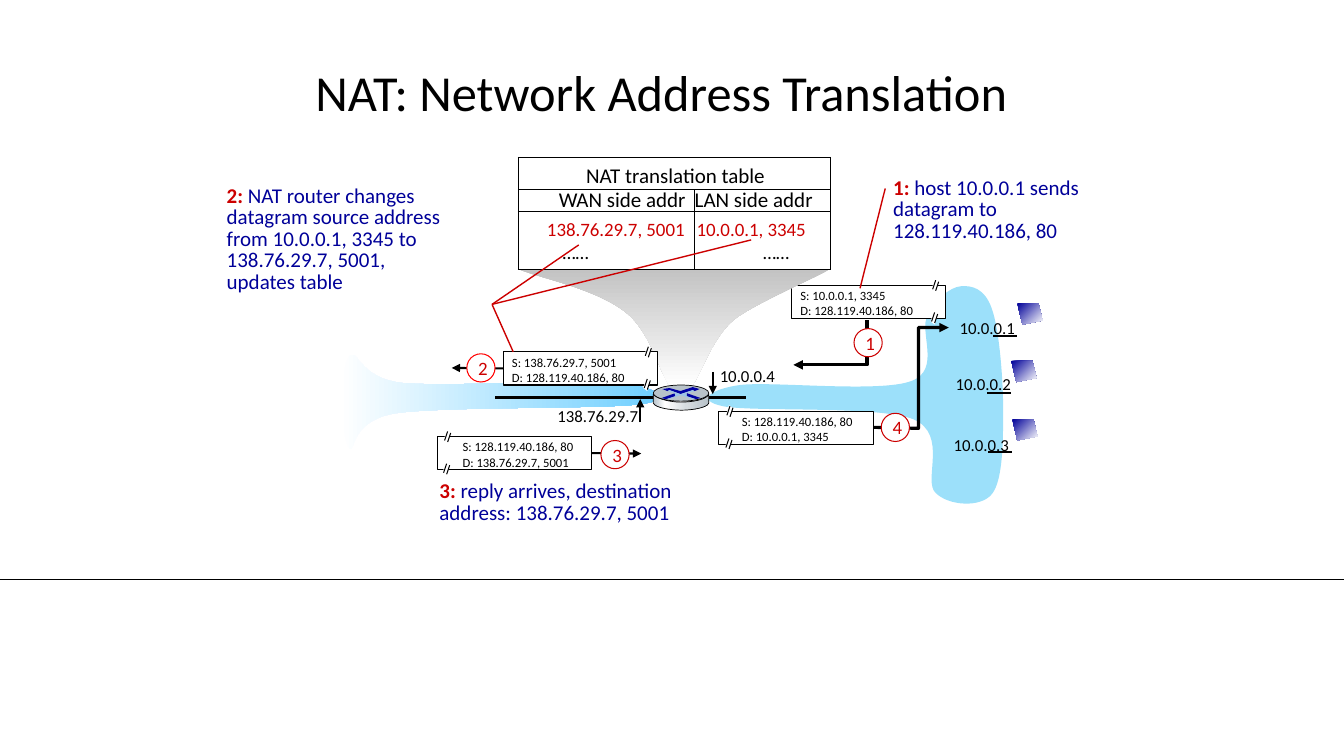
"""Build a slide that explains network address translation."""
import dataclasses

import lxml.etree
import pptx
import pptx.dml.color
import pptx.enum.shapes
import pptx.enum.text
import pptx.oxml.ns
import pptx.util

COLUMNS, ROWS = 13.33, 7.5
SHAPE = pptx.enum.shapes.MSO_SHAPE
ALIGN = pptx.enum.text.PP_ALIGN
ANCHOR = pptx.enum.text.MSO_ANCHOR
qn = pptx.oxml.ns.qn


@dataclasses.dataclass(frozen=True)
class Theme:
    font: str = "Calibri"
    black: str = "000000"
    white: str = "FFFFFF"
    red: str = "CC0000"
    bright_red: str = "FF0000"
    navy: str = "000099"
    lan: str = "9CE0FA"
    wan: str = "66CCFF"
    gray: str = "BFBFBF"
    steel: str = "B8C2C9"
    pale_steel: str = "D6DCE0"
    arrow_blue: str = "0000A3"
    arrow_face: str = "9DC3E6"
    title: float = 36
    note: float = 15
    entry: float = 13.5
    label: float = 12
    packet: float = 9
    thin: float = 0.75


THEME = Theme()


def cells(*spans):
    return [pptx.util.Inches(span) for span in spans]


def rgb(color):
    return pptx.dml.color.RGBColor.from_string(color)


def set_font(font, size, color):
    font.name, font.size, font.color.rgb = THEME.font, pptx.util.Pt(size), rgb(color)


def set_line(shape, color, width, arrow=False):
    shape.line.color.rgb = rgb(color)
    shape.line.width = pptx.util.Pt(width)
    if arrow:
        line = shape._element.spPr.find(qn("a:ln"))
        lxml.etree.SubElement(line, qn("a:tailEnd"), type="triangle")


def set_gradient(shape, stops, angle):
    shape.fill.gradient()
    shape.fill.gradient_angle = (360 - angle) % 360
    stop_list = shape._element.spPr.find(".//" + qn("a:gsLst"))
    for stop in list(stop_list):
        stop_list.remove(stop)
    for position, color in stops:
        stop = lxml.etree.SubElement(stop_list, qn("a:gs"), pos=str(position * 1000))
        lxml.etree.SubElement(stop, qn("a:srgbClr"), val=color)


def paint(shape, fill=None, stops=None, angle=0, line=None, width=THEME.thin, arrow=False):
    shape.shadow.inherit = False
    if stops:
        set_gradient(shape, stops, angle)
    elif fill:
        shape.fill.solid()
        shape.fill.fore_color.rgb = rgb(fill)
    else:
        shape.fill.background()
    if line:
        set_line(shape, line, width, arrow)
    else:
        shape.line.fill.background()
    return shape


def add_preset(page, kind, place, **style):
    return paint(page.shapes.add_shape(kind, *cells(*place)), **style)


def add_outline(page, start, steps, closed=True, **style):
    """Draw steps of two numbers as lines and of six numbers as Bezier curves."""
    points = [step[n:n + 2] for step in steps for n in range(0, len(step), 2)]
    builder = page.shapes.build_freeform(*cells(*start))
    builder.add_line_segments([cells(*point) for point in points], close=closed)
    shape = builder.convert_to_shape()
    segments = iter(list(shape._element.spPr.iter(qn("a:lnTo"))))
    for step in steps:
        first, *others = [next(segments) for _ in range(len(step) // 2)]
        if others:
            curve = lxml.etree.Element(qn("a:cubicBezTo"))
            first.addprevious(curve)
            for segment in (first, *others):
                curve.append(segment[0])
                segment.getparent().remove(segment)
    return paint(shape, **style)


def add_line(page, start, end, color=THEME.black, width=THEME.thin, arrow=False):
    straight = pptx.enum.shapes.MSO_CONNECTOR.STRAIGHT
    line = page.shapes.add_connector(straight, *cells(*start, *end))
    set_line(line, color, width, arrow)
    lxml.etree.SubElement(line._element.spPr, qn("a:effectLst"))
    return line


def add_text(page, place, lines, size, wrap=True):
    box = page.shapes.add_textbox(*cells(*place))
    box.text_frame.word_wrap = wrap
    box.text_frame.text = "\n".join(lines)
    for para in box.text_frame.paragraphs:
        set_font(para.font, size, THEME.black)


def add_note(page, place, number, lines):
    box = page.shapes.add_textbox(*cells(*place))
    box.text_frame.word_wrap = True
    for index, text in enumerate(lines):
        para = box.text_frame.add_paragraph() if index else box.text_frame.paragraphs[0]
        para.line_spacing = 0.85
        set_font(para.font, THEME.note, THEME.navy)
        if index == 0:
            span = para.add_run()
            span.text = f"{number}: "
            span.font.bold, span.font.color.rgb = True, rgb(THEME.red)
        para.add_run().text = text


def set_margins(owner, *margins):
    owner.margin_left, owner.margin_right, owner.margin_top, owner.margin_bottom = cells(*margins)


def add_badge(page, left, top, number, ring=THEME.red):
    badge = add_preset(page, SHAPE.OVAL, (left, top, 0.28, 0.28), fill=THEME.white, line=ring)
    frame = badge.text_frame
    set_margins(frame, 0.04, 0, 0, 0)
    frame.word_wrap, frame.vertical_anchor = False, ANCHOR.MIDDLE
    frame.text = number
    frame.paragraphs[0].alignment = ALIGN.CENTER
    set_font(frame.paragraphs[0].font, THEME.entry, THEME.red)


def add_packet(page, left, top, source, target, cut, indent):
    """Draw a datagram whose edge is cut at the given distance from its left side."""
    packet = add_preset(page, SHAPE.RECTANGLE, (left, top, 1.53, 0.33), fill=THEME.white, line=THEME.black)
    add_text(page, (left + indent, top - 0.02, 1.46, 0.4), (f"S: {source}", f"D: {target}"), THEME.packet)
    for x, y in ((left + cut, top - 0.06), (left + cut - 0.01, top + 0.26)):
        add_outline(page, (x + 0.03, y), [(x, y + 0.1), (x + 0.04, y + 0.13), (x + 0.07, y + 0.03)],
                    fill=THEME.white)
        for shift in (0, 0.03):
            add_line(page, (x + 0.04 + shift, y + 0.01 + shift / 2), (x + 0.01 + shift, y + 0.1 + shift / 2))
    return packet


def fill_cell(cell, lines, size, color, align, margins, indent=0):
    set_margins(cell, *margins)
    cell.vertical_anchor = ANCHOR.MIDDLE
    cell.text = "\n".join(lines)
    for index, para in enumerate(cell.text_frame.paragraphs):
        para.alignment = ALIGN.LEFT if index else align
        para.line_spacing = 1.0 if len(lines) > 1 else 0.85
        if index:
            para._p.get_or_add_pPr().set("marL", str(pptx.util.Inches(indent)))
        set_font(para.font, size, THEME.black if index else color)


def add_nat_table(page):
    table = page.shapes.add_table(3, 2, *cells(5.14, 1.56, 3.1, 1.11)).table
    table.first_row = table.horz_banding = False
    for column, width in zip(table.columns, cells(1.75, 1.35)):
        column.width = width
    for row, height in zip(table.rows, cells(0.32, 0.22, 0.57)):
        row.height = height
    table.cell(0, 0).merge(table.cell(0, 1))
    fill_cell(table.cell(0, 0), ["NAT translation table"], THEME.note, THEME.black, ALIGN.CENTER,
              (0.07, 0.07, 0.07, 0))
    table.cell(0, 0).margin_right = pptx.util.Inches(0.05)
    sides = (("WAN side addr", "138.76.29.7, 5001", ALIGN.RIGHT, 0.42),
             ("LAN side addr", "10.0.0.1, 3345", ALIGN.LEFT, 0.66))
    for column, (heading, address, align, indent) in enumerate(sides):
        fill_cell(table.cell(1, column), [heading], THEME.note, THEME.black, align, (0, 0.09, 0, 0))
        fill_cell(table.cell(2, column), [address, "……"], THEME.entry, THEME.red, align,
                  (0.02, 0.1, 0.02, 0), indent)
    for cell in table.iter_cells():
        cell.fill.solid()
        cell.fill.fore_color.rgb = rgb(THEME.white)
        for index, edge in enumerate(("a:lnL", "a:lnR", "a:lnT", "a:lnB")):
            border = lxml.etree.Element(qn(edge), w=str(pptx.util.Pt(THEME.thin)))
            border_fill = lxml.etree.SubElement(border, qn("a:solidFill"))
            lxml.etree.SubElement(border_fill, qn("a:srgbClr"), val=THEME.black)
            cell._tc.get_or_add_tcPr().insert(index, border)


def add_title(page, text):
    title = page.shapes.title
    title.left, title.top, title.width, title.height = cells(2.25, 0.5, 8.62, 0.88)
    title.text_frame.text = text
    title.text_frame.vertical_anchor = ANCHOR.MIDDLE
    para = title.text_frame.paragraphs[0]
    para.alignment, para.line_spacing = ALIGN.CENTER, 0.9
    set_font(para.font, THEME.title, THEME.black)


def add_networks(page):
    add_outline(page, (6.16, 3.8), [
        (5.77, 3.76, 4.44, 3.84, 3.99, 3.8), (3.54, 3.75, 3.55, 3.43, 3.46, 3.54),
        (3.37, 3.64, 3.38, 4.35, 3.46, 4.44), (3.53, 4.54, 3.44, 4.18, 3.92, 4.1),
        (4.4, 4.03, 5.98, 4.06, 6.35, 4.01), (6.72, 3.96, 6.49, 3.84, 6.16, 3.8)],
        stops=[(0, THEME.white), (100, THEME.wan)])
    add_outline(page, (7.34, 3.82), [
        (7.65, 3.78, 8.73, 3.9, 9.04, 3.78), (9.34, 3.67, 9.11, 3.29, 9.2, 3.13),
        (9.28, 2.97, 9.42, 2.85, 9.53, 2.84), (9.64, 2.83, 9.77, 2.86, 9.84, 3.07),
        (9.91, 3.27, 9.95, 3.75, 9.95, 4.06), (9.95, 4.36, 9.95, 4.76, 9.84, 4.9),
        (9.73, 5.04, 9.41, 5.02, 9.28, 4.89), (9.15, 4.77, 9.41, 4.31, 9.06, 4.16),
        (8.71, 4.02, 7.46, 4.09, 7.17, 4.03), (6.89, 3.97, 7.05, 3.86, 7.34, 3.82)],
        fill=THEME.lan)


def add_funnel(page):
    add_outline(page, (5.14, 2.67), [
        (5.14, 2.67, 7.85, 2.59, 8.21, 2.67), (8.31, 2.66, 7.51, 2.99, 7.28, 3.17),
        (7.05, 3.36, 6.95, 3.74, 6.85, 3.84), (6.65, 3.84),
        (6.55, 3.72, 6.46, 3.3, 6.21, 3.1), (5.9, 2.86, 5.39, 2.77, 5.14, 2.67)],
        stops=[(0, THEME.gray), (100, THEME.white)], angle=90)


def add_router(page):
    add_line(page, (4.91, 3.94), (7.4, 3.94), width=2)
    add_outline(page, (7.03, 3.91), [
        (7.03, 4), (7.01, 4.05, 6.85, 4.07, 6.76, 4.07), (6.67, 4.07, 6.5, 4.05, 6.48, 4),
        (6.48, 3.91), (6.51, 3.96, 6.66, 3.99, 6.75, 3.99), (6.85, 3.99, 7.01, 3.97, 7.03, 3.91)],
        stops=[(0, THEME.steel), (21, THEME.white), (60, THEME.pale_steel), (100, THEME.steel)],
        line=THEME.black, width=0.5)
    add_preset(page, SHAPE.OVAL, (6.48, 3.82, 0.55, 0.16), fill=THEME.steel, line=THEME.black, width=0.5)
    add_outline(page, (6.87, 3.84), [
        (6.94, 3.86), (6.89, 3.88), (6.87, 3.87), (6.75, 3.91), (6.64, 3.87), (6.62, 3.88),
        (6.57, 3.86), (6.64, 3.85), (6.75, 3.88)], fill=THEME.arrow_blue)
    add_outline(page, (6.81, 3.9), [(6.95, 3.95), (6.9, 3.96), (6.81, 3.93)], fill=THEME.arrow_blue)
    add_outline(page, (6.7, 3.9), [(6.7, 3.93), (6.61, 3.96), (6.56, 3.95)], fill=THEME.arrow_blue)
    add_outline(page, (6.62, 3.88), [
        (6.64, 3.87), (6.75, 3.91), (6.87, 3.87), (6.89, 3.88), (6.81, 3.9), (6.81, 3.93), (6.9, 3.96),
        (6.88, 3.96), (6.75, 3.92), (6.63, 3.96), (6.61, 3.96), (6.7, 3.93), (6.69, 3.9)],
        fill=THEME.arrow_face)


def add_host(page, address, label_left, label_top, left, top):
    add_text(page, (label_left, label_top, 0.81, 0.3), [address], THEME.label, wrap=False)
    add_outline(page, (left, top), [(left + 0.21, top), (left + 0.25, top + 0.17), (left + 0.05, top + 0.21)],
                stops=[(0, THEME.navy), (100, THEME.white)], angle=45)
    add_line(page, (left - 0.24, top + 0.32), (left, top + 0.32), width=1.5)


def main():
    deck = pptx.Presentation()
    deck.slide_width, deck.slide_height = cells(COLUMNS, ROWS)
    page = deck.slides.add_slide(deck.slide_layouts[5])
    elbow = dict(closed=False, line=THEME.black, width=2.25, arrow=True)
    server, public, host = "128.119.40.186, 80", "138.76.29.7, 5001", "10.0.0.1, 3345"

    add_line(page, (0, 5.75), (COLUMNS, 5.75), width=0.5)
    add_title(page, "NAT: Network Address Translation")
    add_networks(page)
    add_packet(page, 7.85, 2.83, host, server, 1.39, -0.01)
    add_outline(page, (8.6, 3.18), [(8.6, 3.62), (7.87, 3.62)], **elbow)
    add_badge(page, 8.47, 3.26, "1")
    add_text(page, (7.04, 3.58, 0.81, 0.3), ["10.0.0.4"], THEME.label, wrap=False)
    add_text(page, (5.43, 3.98, 1.09, 0.3), ["138.76.29.7"], THEME.label, wrap=False)
    add_note(page, (8.76, 1.72, 2.52, 0.74), 1, ["host 10.0.0.1 sends datagram to 128.119.40.186, 80"])
    add_line(page, (8.78, 1.87), (8.53, 2.86), THEME.red, 1)
    add_funnel(page)
    add_nat_table(page)

    add_packet(page, 7.13, 4.08, server, host, 0.07, 0.13)
    add_outline(page, (8.66, 4.24), [(9.11, 4.25), (9.11, 3.25), (9.41, 3.25)], **elbow)
    add_badge(page, 8.74, 4.1, "4")
    outgoing = add_packet(page, 4.99, 3.49, public, server, 1.4, -0.01)
    add_line(page, (4.99, 3.65), (4.48, 3.65), width=1.5, arrow=True).begin_connect(outgoing, 1)
    add_badge(page, 4.63, 3.51, "2", THEME.bright_red)
    add_note(page, (2.15, 1.8, 2.59, 1.17), 2, [
        "NAT router changes datagram source address from 10.0.0.1, 3345 to 138.76.29.7, 5001,",
        "updates table"])
    for end in ((5.09, 3.49), (5.74, 2.43), (7.45, 2.38)):
        add_line(page, (4.88, 3.02), end, THEME.red, 1)
    reply = add_packet(page, 4.34, 4.33, server, public, 0.06, 0.15)
    add_line(page, (5.87, 4.5), (6.36, 4.5), width=1.5, arrow=True).begin_connect(reply, 3)
    add_badge(page, 5.96, 4.37, "3")
    add_note(page, (4.26, 4.73, 2.92, 0.53), 3, ["reply arrives, destination address: 138.76.29.7, 5001"])

    for entry in (("10.0.0.1", 9.42, 3.1, 10.09, 3.01), ("10.0.0.2", 9.38, 3.66, 10.03, 3.58),
                  ("10.0.0.3", 9.36, 4.26, 10.04, 4.16)):
        add_host(page, *entry)
    add_router(page)
    add_line(page, (6.35, 4.19), (6.35, 3.96), width=1.5, arrow=True)
    add_line(page, (7.07, 3.69), (7.07, 3.91), width=1.5, arrow=True)
    deck.save("out.pptx")


if __name__ == "__main__":
    main()
